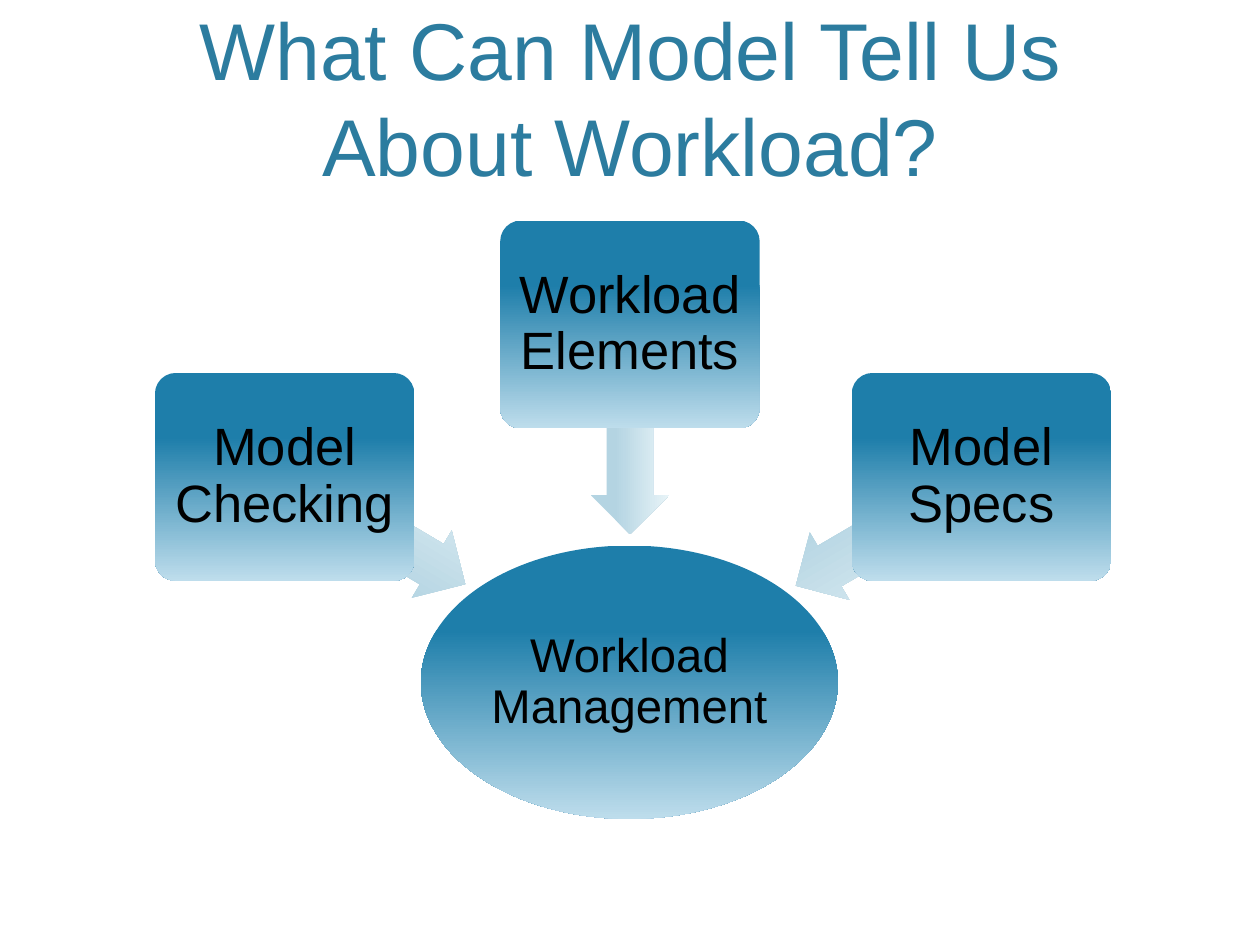
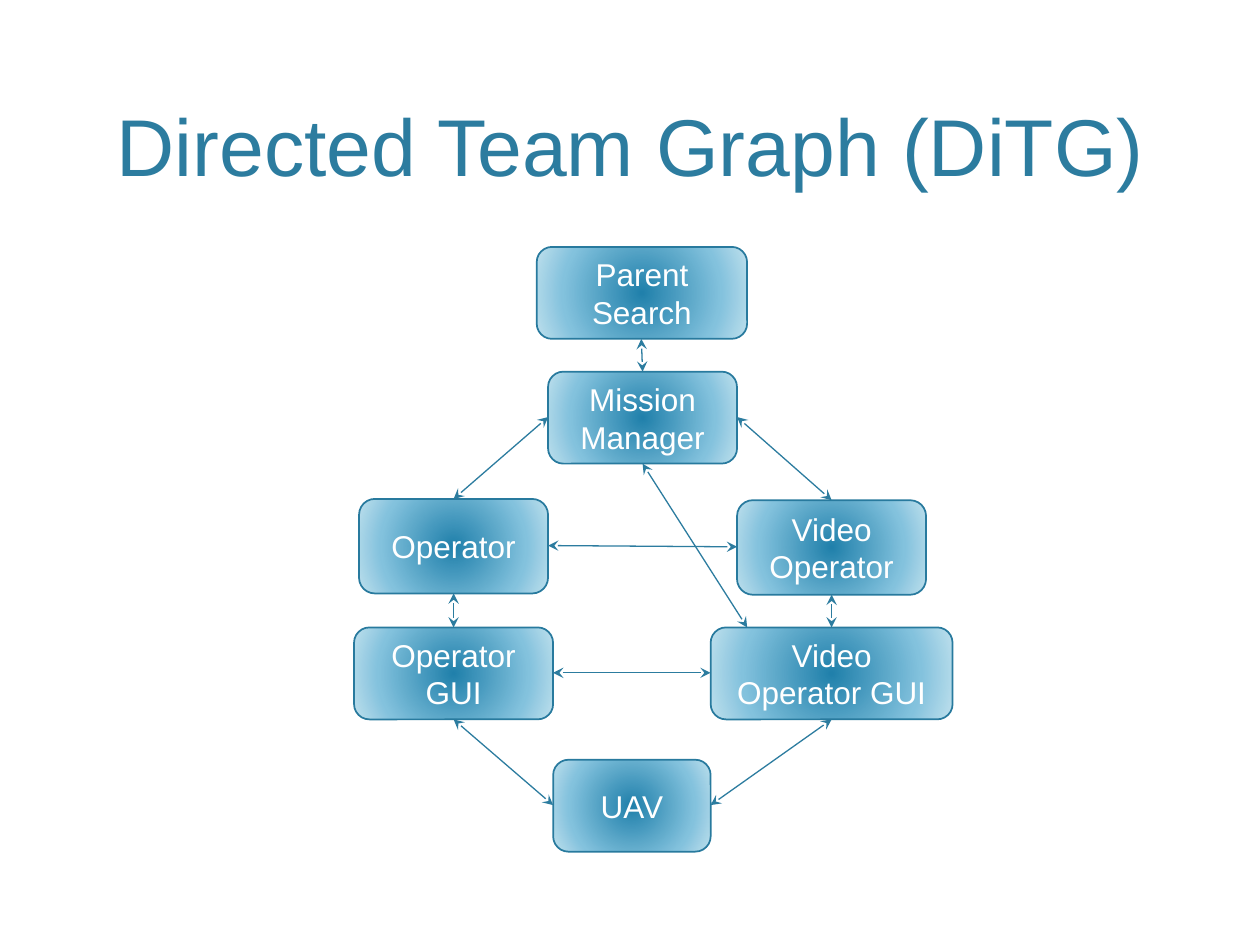
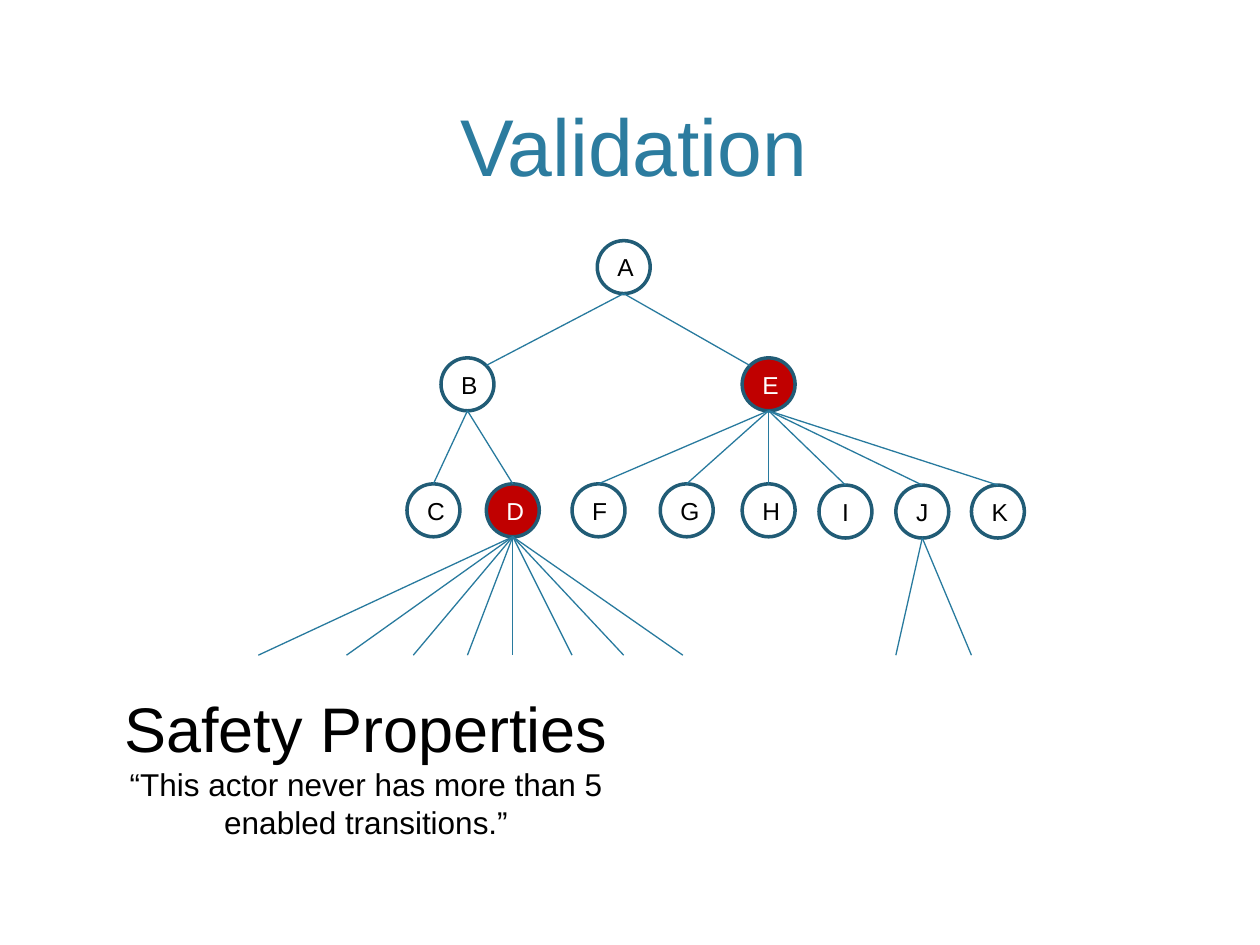
from lxml.etree import SubElement
from pptx import Presentation
from pptx.dml.color import RGBColor
from pptx.enum.shapes import MSO_CONNECTOR, MSO_SHAPE
from pptx.enum.text import MSO_ANCHOR, MSO_AUTO_SIZE, PP_ALIGN
from pptx.oxml.ns import qn
from pptx.util import Pt

PX = 9144
BLACK = RGBColor(0x00, 0x00, 0x00)
WHITE = RGBColor(0xFF, 0xFF, 0xFF)
RED = RGBColor(0xC0, 0x00, 0x00)
TEAL = RGBColor(0x2C, 0x7C, 0x9F)
EDGE = RGBColor(0x28, 0x7A, 0x9E)
RING = RGBColor(0x21, 0x5C, 0x76)
DEEP = RGBColor(0x1E, 0x7E, 0xAA)
MIST = RGBColor(0xBE, 0xDD, 0xEC)
PALE = RGBColor(0xB4, 0xD4, 0xE2)
ICE = RGBColor(0xE8, 0xF4, 0xF8)
CORE = RGBColor(0x20, 0x80, 0xAB)
SKY = RGBColor(0x83, 0xC2, 0xDD)
RIM = RGBColor(0xBF, 0xE0, 0xED)

BLUE_FADE = [(0, DEEP), (31, DEEP), (100, MIST)]
PALE_FADE = [(0, PALE), (31, PALE), (100, ICE)]
GLOW = [(0, CORE), (69, SKY), (100, RIM)]


def put(item, style):
    for name, value in style.items():
        setattr(item, name, value)


class Deck:
    """Holds the shared style and the current slide."""

    def __init__(self):
        self.deck = Presentation()
        put(self.deck, {"slide_width": 1000 * PX, "slide_height": 750 * PX})

    def page(self, title, left=60, top=12, pad=5):
        self.slide = self.deck.slides.add_slide(self.deck.slide_layouts[6])
        box = self.text(left, top, 880, 146, [(title, 46)], TEAL)
        put(box.text_frame, {"vertical_anchor": MSO_ANCHOR.BOTTOM,
                             "margin_top": pad * PX, "margin_bottom": pad * PX})

    def label(self, shape, lines, color, **para):
        frame = shape.text_frame
        frame.word_wrap = True
        for i, (words, size) in enumerate(lines):
            part = frame.add_paragraph() if i else frame.paragraphs[0]
            put(part, {"text": words, "alignment": PP_ALIGN.CENTER, **para})
            put(part.font, {"size": Pt(size), "name": "Arial"})
            part.font.color.rgb = color

    def text(self, left, top, width, height, lines, color):
        box = self.slide.shapes.add_textbox(left * PX, top * PX, width * PX, height * PX)
        self.label(box, lines, color)
        return box

    def shape(self, kind, left, top, width, height, fill, line=None, weight=1):
        item = self.slide.shapes.add_shape(kind, left * PX, top * PX, width * PX, height * PX)
        item.shadow.inherit = False
        item.text_frame.vertical_anchor = MSO_ANCHOR.MIDDLE
        if isinstance(fill, RGBColor):
            item.fill.solid()
            item.fill.fore_color.rgb = fill
        else:
            self.fade(item, fill)
        if line is None:
            item.line.fill.background()
        else:
            item.line.color.rgb = line
            item.line.width = Pt(weight)
        return item

    def fade(self, item, stops):
        item.fill.gradient()
        grad = item.element.spPr.find(qn("a:gradFill"))
        for child in list(grad):
            grad.remove(child)
        group = SubElement(grad, qn("a:gsLst"))
        for place, color in stops:
            stop = SubElement(group, qn("a:gs"), pos=str(place * 1000))
            SubElement(stop, qn("a:srgbClr"), val=str(color))
        if stops is GLOW:
            way = SubElement(grad, qn("a:path"), {"path": "circle"})
            SubElement(way, qn("a:fillToRect"), {edge: "50000" for edge in "ltrb"})
        else:
            SubElement(grad, qn("a:lin"), ang="5400000", scaled="0")

    def block(self, kind, left, top, width, height, words, size, pad, after):
        item = self.shape(kind, left, top, width, height, BLUE_FADE)
        if kind == MSO_SHAPE.ROUNDED_RECTANGLE:
            item.adjustments[0] = 0.1
        edges = ("left", "top", "right", "bottom")
        put(item.text_frame, {f"margin_{edge}": pad * PX for edge in edges})
        self.label(item, [(words, size)], BLACK, line_spacing=0.9, space_after=Pt(after))

    def arrow(self, left, top, width, turn):
        item = self.shape(MSO_SHAPE.LEFT_ARROW, left, top, width, 62, PALE_FADE)
        item.adjustments[0] = 0.6
        item.rotation = turn

    def line(self, start, end, color, heads=False):
        ends = [value * PX for value in (*start, *end)]
        link = self.slide.shapes.add_connector(MSO_CONNECTOR.STRAIGHT, *ends)
        link.line.color.rgb = color
        link.line.width = Pt(0.75)
        SubElement(link.element.spPr, qn("a:effectLst"))
        if heads:
            stroke = link.element.spPr.find(qn("a:ln"))
            for tip in ("a:headEnd", "a:tailEnd"):
                SubElement(stroke, qn(tip), type="stealth")

    def node(self, left, top, width, height, words):
        item = self.shape(MSO_SHAPE.ROUNDED_RECTANGLE, left, top, width, height, GLOW, EDGE)
        self.label(item, [(words, 18)], WHITE)

    def ring(self, left, top, words, hot):
        item = self.shape(MSO_SHAPE.OVAL, left, top, 42, 42, RED if hot else WHITE, RING, 2)
        self.label(item, [(words, 14)], WHITE if hot else BLACK)


def model(deck):
    deck.page("What Can Model Tell Us About Workload?")
    deck.block(MSO_SHAPE.OVAL, 334, 433, 331, 217, "Workload Management", 27, 2, 9.4)
    parts = [
        ((214, 390, 167, 210.7), (123, 296), "Model Checking"),
        ((417, 310, 166, 270), (397, 175), "Workload Elements"),
        ((620, 391, 170, 329.7), (676, 296), "Model Specs"),
    ]
    for arrow, place, words in parts:
        deck.arrow(*arrow)
        deck.block(MSO_SHAPE.ROUNDED_RECTANGLE, *place, 206, 165, words, 30, 6, 10.5)


def side(box, name):
    left, top, width, height = box
    across, down = {"t": (1, 0), "l": (0, 1), "b": (1, 2), "r": (2, 1)}[name]
    return left + across * width // 2, top + down * height // 2


def graph(deck):
    deck.page("Directed Team Graph (DiTG)")
    nodes = {
        "Parent Search": (426, 196, 167, 73),
        "Mission Manager": (435, 295, 150, 73),
        "Operator": (285, 396, 150, 75),
        "Video Operator": (585, 397, 150, 75),
        "Video Operator GUI": (564, 498, 192, 73),
        "Operator GUI": (281, 498, 158, 73),
        "UAV": (439, 603, 125, 73),
    }
    for words, box in nodes.items():
        deck.node(*box, words)
    links = [
        ("Parent Search", "b", "Mission Manager", "t"),
        ("Mission Manager", "l", "Operator", "t"),
        ("Mission Manager", "r", "Video Operator", "t"),
        ("Operator", "b", "Operator GUI", "t"),
        ("Video Operator", "b", "Video Operator GUI", "t"),
        ("Operator GUI", "b", "UAV", "l"),
        ("Video Operator GUI", "b", "UAV", "r"),
        ("Operator GUI", "r", "Video Operator GUI", "l"),
        ("Operator", "r", "Video Operator", "l"),
    ]
    for head, out, tail, into in links:
        deck.line(side(nodes[head], out), side(nodes[tail], into), TEAL, True)
    deck.line(side(nodes["Mission Manager"], "b"), (593, 498), TEAL, True)


def tree(deck):
    deck.page("Validation", 63, 17, 10)
    rings = {
        "A": (474, 191), "B": (350, 284), "E": (589, 284), "C": (323, 384),
        "D": (386, 384), "F": (454, 384), "G": (524, 384), "H": (589, 384),
        "I": (650, 385), "J": (711, 385), "K": (771, 385),
    }
    kids = {"A": "BE", "B": "CD", "E": "FGHIJK"}
    fans = {"D": (205, 275, 328, 371, 407, 454, 495, 542), "J": (711, 771)}
    joins = {"B": (36, 6), "E": (6, 6)}

    def foot(name):
        left, top = rings[name]
        return left + 21, top + 42

    for name, place in rings.items():
        deck.ring(*place, name, name in "DE")
    for name, group in kids.items():
        for kid in group:
            right, down = joins.get(kid, (21, 0))
            left, top = rings[kid]
            deck.line(foot(name), (left + right, top + down), EDGE)
    for name, ends in fans.items():
        for end in ends:
            deck.line(foot(name), (end, 520), EDGE)
    lines = [("Safety Properties", 36),
             ("“This actor never has more than 5 enabled transitions.”", 18)]
    box = deck.text(73, 542, 435, 131, lines, BLACK)
    box.text_frame.auto_size = MSO_AUTO_SIZE.SHAPE_TO_FIT_TEXT


def main():
    deck = Deck()
    for build in (model, graph, tree):
        build(deck)
    deck.deck.save("out.pptx")


if __name__ == "__main__":
    main()
